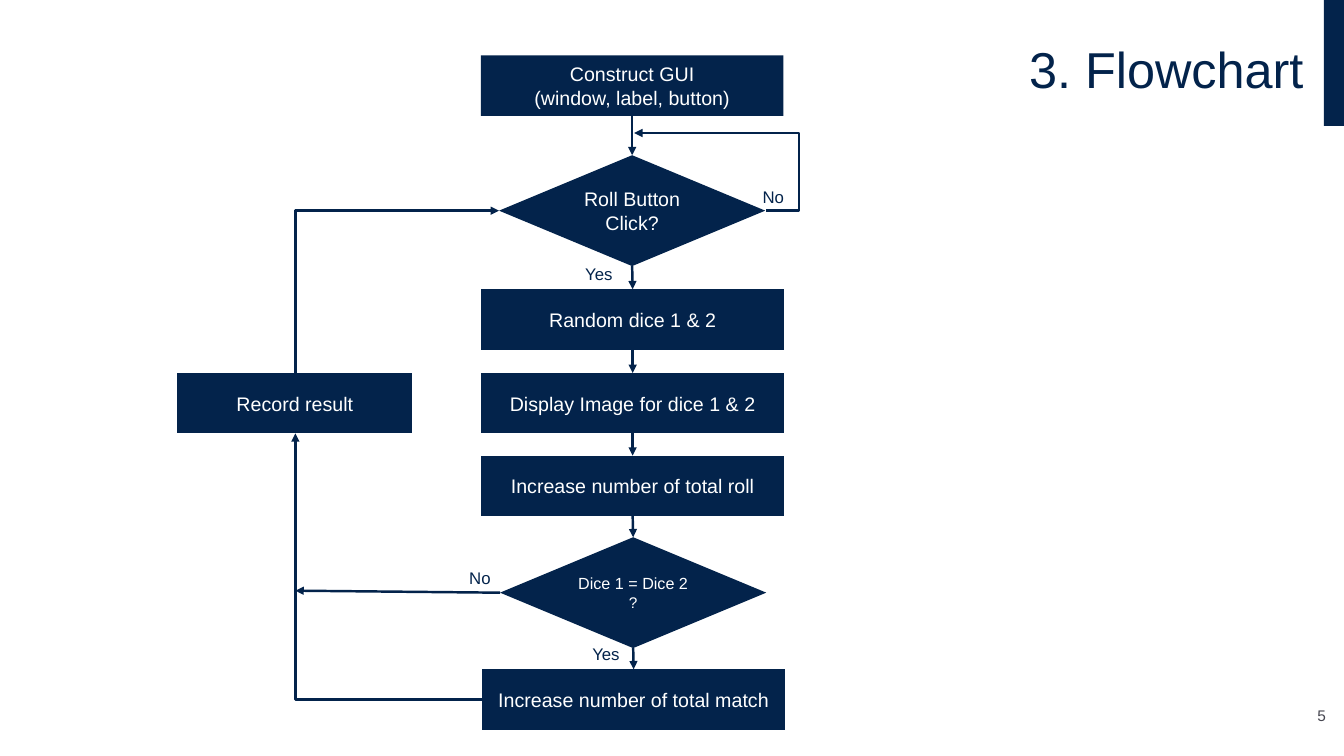
from pptx import Presentation
from pptx import util as u
from pptx.dml.color import RGBColor
from pptx.enum import shapes, text
from pptx.oxml import ns
from lxml import etree

NAVY = RGBColor(0x03, 0x23, 0x4B)
WHITE = RGBColor(0xFF, 0xFF, 0xFF)
GREY = RGBColor(0x46, 0x46, 0x50)
FONT = "Arial"
RECT = shapes.MSO_SHAPE.RECTANGLE
PROCESS = shapes.MSO_SHAPE.FLOWCHART_PROCESS
DECISION = shapes.MSO_SHAPE.FLOWCHART_DECISION
STRAIGHT = shapes.MSO_CONNECTOR.STRAIGHT
ELBOW = shapes.MSO_CONNECTOR.ELBOW
CENTER, RIGHT = text.PP_ALIGN.CENTER, text.PP_ALIGN.RIGHT
MIDDLE, BOTTOM = text.MSO_ANCHOR.MIDDLE, text.MSO_ANCHOR.BOTTOM
TOP_SITE, BOTTOM_SITE = 0, 2
BOX_LEFT, BOX_WIDTH, BOX_HEIGHT = 4.77, 3.01, 0.6
DIAMOND_WIDTH, DIAMOND_HEIGHT = 2.64, 1.1


def inches(*lengths):
    return [u.Inches(length) for length in lengths]


def write(frame, lines, color, align=CENTER):
    """Fill a text frame with one paragraph per (words, size) pair."""
    frame.word_wrap = True
    for index, (words, size) in enumerate(lines):
        para = frame.paragraphs[0] if index == 0 else frame.add_paragraph()
        para.alignment = align
        span = para.add_run()
        span.text = words
        span.font.name = FONT
        span.font.size = u.Pt(size)
        span.font.color.rgb = color


def add_box(page, kind, left, top, width, height, lines=()):
    box = page.shapes.add_shape(kind, *inches(left, top, width, height))
    box.shadow.inherit = False
    box.fill.solid()
    box.fill.fore_color.rgb = NAVY
    box.line.fill.background()
    box.text_frame.vertical_anchor = MIDDLE
    write(box.text_frame, lines, WHITE)
    return box


def add_process(page, top, words, left=BOX_LEFT, width=BOX_WIDTH):
    return add_box(page, PROCESS, left, top, width, BOX_HEIGHT, [(words, 14)])


def add_decision(page, left, top, lines):
    return add_box(page, DECISION, left, top, DIAMOND_WIDTH, DIAMOND_HEIGHT, lines)


def add_label(page, left, top, width, words):
    label = page.shapes.add_textbox(*inches(left, top, width, 0.3))
    write(label.text_frame, [(words, 12)], NAVY)
    label.text_frame.auto_size = text.MSO_AUTO_SIZE.SHAPE_TO_FIT_TEXT


def add_arrow(page, kind, start, end, arrow_end="tailEnd"):
    """Draw a connector; headEnd puts the arrowhead at its start."""
    arrow = page.shapes.add_connector(kind, *inches(*start, *end))
    arrow.line.color.rgb = NAVY
    arrow.line.width = u.Pt(1.75)
    line = arrow.line._get_or_add_ln()
    etree.SubElement(line, ns.qn("a:" + arrow_end), type="triangle")
    etree.SubElement(arrow._element.spPr, ns.qn("a:effectLst"))
    return arrow


def add_corner(page, start, end, arrow_end="tailEnd"):
    """Run sideways from start, then turn once towards end."""
    arrow = add_arrow(page, ELBOW, start, end, arrow_end)
    arrow._element.spPr.find(ns.qn("a:prstGeom")).set("prst", "bentConnector2")


def add_loop(page, start, end, bend):
    """Bend at a share of the width measured from start."""
    arrow = add_arrow(page, ELBOW, start, end)
    geometry = arrow._element.spPr.find(ns.qn("a:prstGeom"))
    guides = geometry.find(ns.qn("a:avLst"))
    if guides is None:
        guides = etree.SubElement(geometry, ns.qn("a:avLst"))
    etree.SubElement(guides, ns.qn("a:gd"), name="adj1",
                     fmla=f"val {round(bend * 100000)}")


def add_heading(page):
    add_box(page, RECT, 13.13, 0, 0.2, 1.25)
    title = page.shapes.title
    title.left, title.top, title.width, title.height = inches(0.33, 0, 12.7, 1.43)
    title.text_frame.vertical_anchor = MIDDLE
    write(title.text_frame, [("3. Flowchart", 36)], NAVY, RIGHT)
    title.text_frame.paragraphs[0].line_spacing = 0.9


def add_page_number(page):
    number = page.shapes.add_textbox(*inches(12.7, 6.92, 0.45, 0.32))
    frame = number.text_frame
    frame.margin_left = frame.margin_right = 0
    frame.vertical_anchor = BOTTOM
    write(frame, [("5", 11)], GREY, RIGHT)


def add_flowchart(page):
    # Main column, top to bottom
    steps = [
        add_box(page, RECT, BOX_LEFT, 0.55, 3, BOX_HEIGHT,
                [("Construct GUI", 14), ("(window, label, button)", 14)]),
        add_decision(page, 4.95, 1.54, [("Roll Button Click?", 14)]),
        add_process(page, 2.87, "Random dice 1 & 2"),
        add_process(page, 3.7, "Display Image for dice 1 & 2"),
        add_process(page, 4.52, "Increase number of total roll"),
        add_decision(page, 4.96, 5.33, [("Dice 1 = Dice 2", 11.5), ("?", 11)]),
        add_process(page, 6.64, "Increase number of total match", left=4.78),
    ]
    add_process(page, 3.7, "Record result", left=1.76, width=2.33)

    # Arrows down the main column
    for upper, lower in zip(steps, steps[1:]):
        arrow = add_arrow(page, STRAIGHT, (0, 0), (1, 1))
        arrow.begin_connect(upper, BOTTOM_SITE)
        arrow.end_connect(lower, TOP_SITE)

    # Waiting loop and the way back through the record
    add_loop(page, (7.6, 2.09), (6.29, 1.32), -0.25)
    add_corner(page, (4.78, 6.94), (2.93, 4.3))
    add_corner(page, (4.95, 2.09), (2.93, 3.7), "headEnd")
    add_arrow(page, STRAIGHT, (4.96, 5.88), (2.93, 5.86))

    # Branch labels
    for left, top, width, words in [
        (5.67, 2.57, 0.54, "Yes"), (7.33, 1.8, 0.68, "No"),
        (5.74, 6.34, 0.54, "Yes"), (4.42, 5.58, 0.68, "No"),
    ]:
        add_label(page, left, top, width, words)


def main():
    deck = Presentation()
    deck.slide_width, deck.slide_height = inches(13.33, 7.5)
    page = deck.slides.add_slide(deck.slide_layouts[5])
    add_heading(page)
    add_page_number(page)
    add_flowchart(page)
    deck.save("out.pptx")


main()
